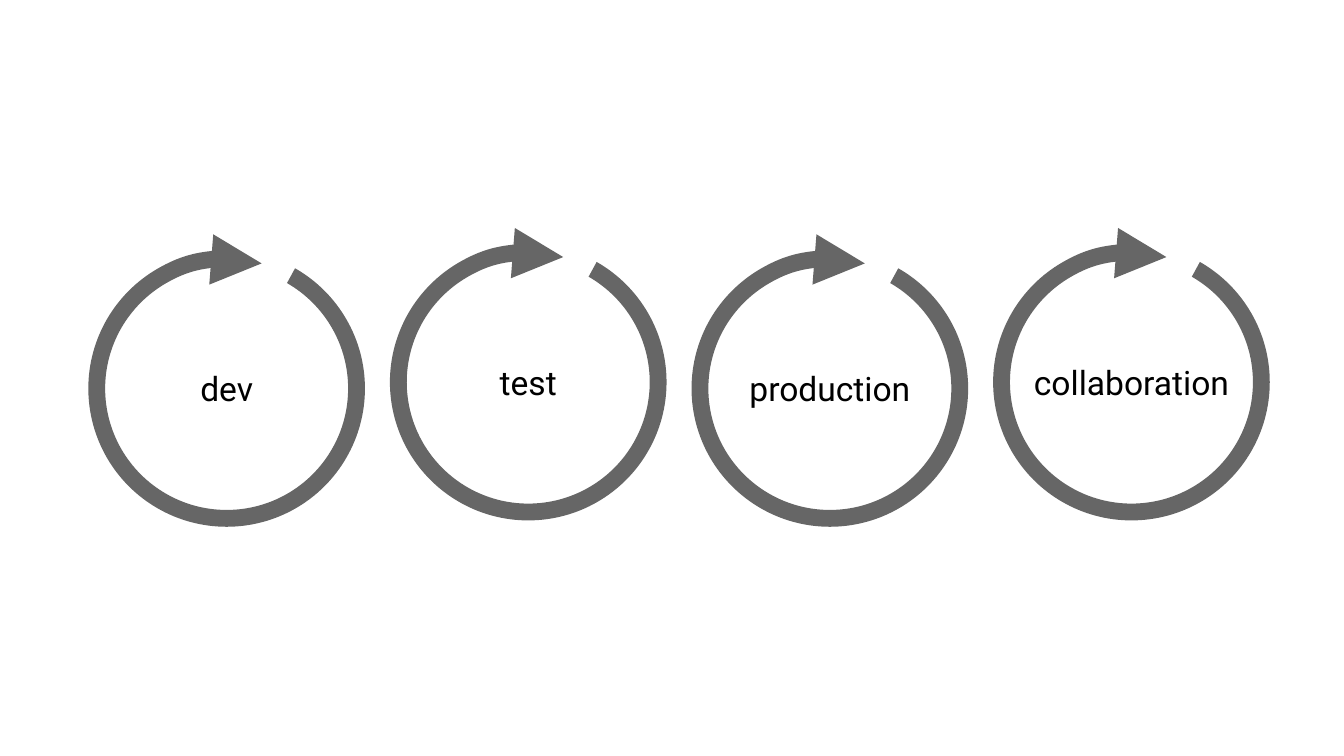
"""Build a slide with four circular arrows, one per environment."""
from lxml import etree
from pptx import Presentation
from pptx import util as u
from pptx.dml.color import RGBColor
from pptx.enum import shapes, text
from pptx.oxml.ns import qn

GREY = RGBColor(0x66, 0x66, 0x66)
BLACK = RGBColor(0x00, 0x00, 0x00)

STAGES = ["dev", "test", "production", "collaboration"]
LEFT, PITCH, SIZE = 1.83, 5.7, 4.91
TOPS = [4.89, 4.77]
INSET = u.Cm(0.25)
FRAME = {
    "word_wrap": True,
    "vertical_anchor": text.MSO_ANCHOR.MIDDLE,
    "margin_left": INSET,
    "margin_top": INSET,
    "margin_right": INSET,
    "margin_bottom": INSET,
}
FONT = {"name": "Roboto", "size": u.Pt(18)}

prs = Presentation()
prs.slide_width, prs.slide_height = u.Cm(25.4), u.Cm(14.29)
s = prs.slides.add_slide(prs.slide_layouts[6])

for i, stage in enumerate(STAGES):
    sp = s.shapes.add_shape(
        shapes.MSO_SHAPE.ARC,
        u.Cm(LEFT + i * PITCH), u.Cm(TOPS[i % 2]), u.Cm(SIZE), u.Cm(SIZE),
    )
    sp.adjustments[0] = 179.825
    sp.adjustments[1] = 171.362
    sp.shadow.inherit = False
    sp.fill.background()
    sp.line.color.rgb = GREY
    sp.line.width = u.Pt(9)
    etree.SubElement(sp.element.spPr.ln, qn("a:tailEnd"), type="triangle")

    tf = sp.text_frame
    for key, value in FRAME.items():
        setattr(tf, key, value)
    p = tf.paragraphs[0]
    p.alignment = text.PP_ALIGN.CENTER
    r = p.add_run()
    r.text = stage
    for key, value in FONT.items():
        setattr(r.font, key, value)
    r.font.color.rgb = BLACK

prs.save("out.pptx")
